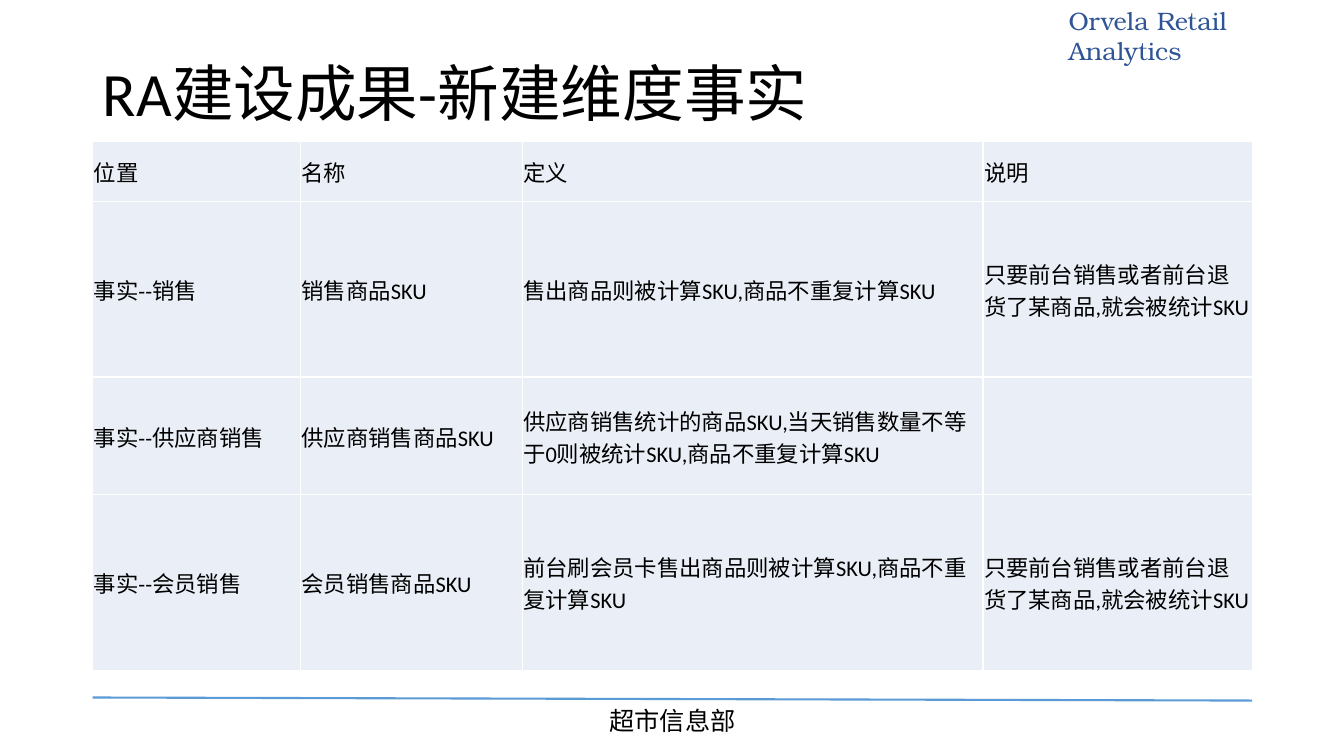
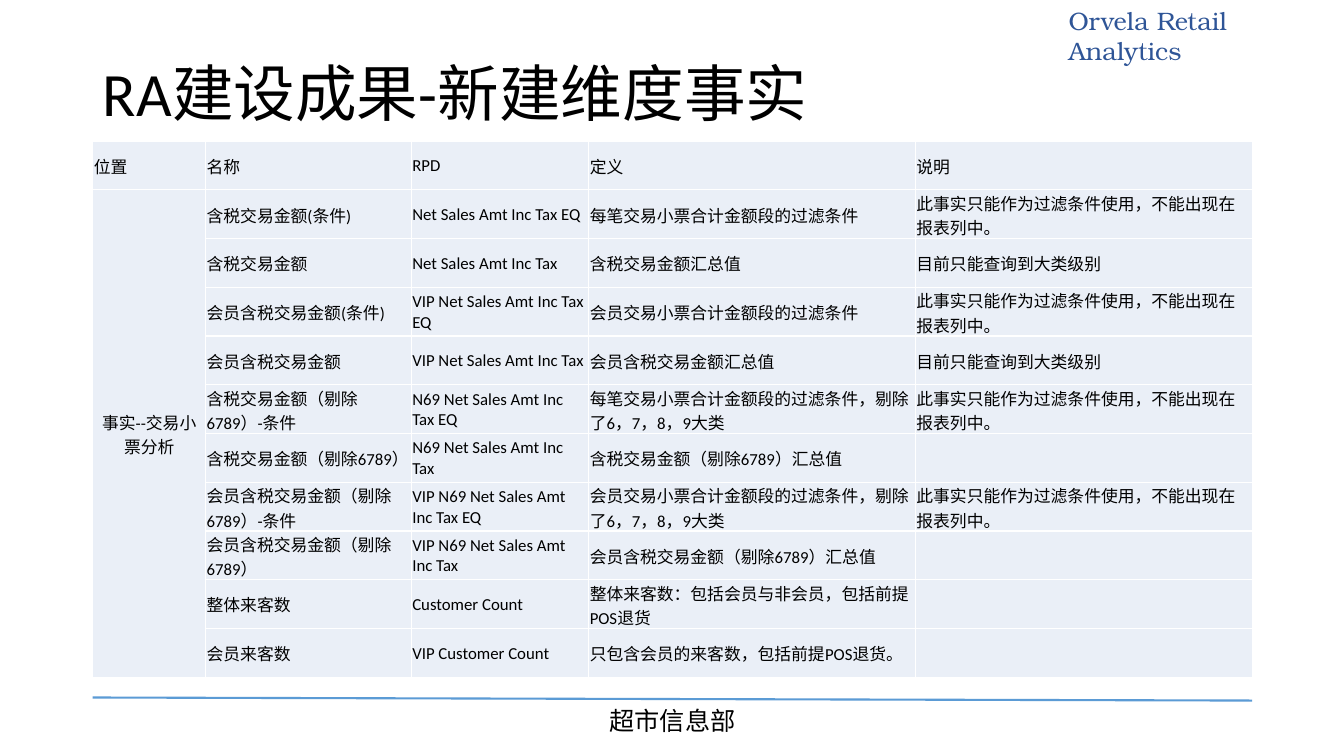
from lxml import etree
from pptx import Presentation
from pptx.dml.color import RGBColor
from pptx.enum.shapes import MSO_CONNECTOR
from pptx.enum.text import MSO_ANCHOR, MSO_AUTO_SIZE, PP_ALIGN
from pptx.oxml import parse_xml
from pptx.oxml.ns import nsdecls, qn
from pptx.util import Inches, Pt

MIDDLE = MSO_ANCHOR.MIDDLE
LEFT, CENTER = PP_ALIGN.LEFT, PP_ALIGN.CENTER
STRAIGHT = MSO_CONNECTOR.STRAIGHT

BLACK = RGBColor(0x00, 0x00, 0x00)
NAVY = RGBColor(0x2F, 0x55, 0x97)
BLUE = RGBColor(0x5B, 0x9B, 0xD5)
PALE = RGBColor(0xEA, 0xEF, 0xF7)
BORDER = "FFFFFF"

BODY_FONT = "Calibri"
BRAND_FONT = "TeX Gyre Bonum"
CJK_FONT = "Noto Sans CJK SC"

MARGIN, CONTENT_WIDTH, TABLE_TOP = 0.92, 11.5, 1.4
TITLE = "RA建设成果-新建维度事实"
SKU_NOTE = "只要前台销售或者前台退货了某商品,就会被统计SKU"
FILTER_NOTE = "此事实只能作为过滤条件使用，不能出现在报表列中。"
LEVEL_NOTE = "目前只能查询到大类级别"

TABLES = [
    {
        "size": 16,
        "cols": [2.06, 2.2, 4.57, 2.67],
        "heights": [0.6, 1.74, 1.17, 1.74],
        "merge_first_column": False,
        "rows": [
            ["位置", "名称", "定义", "说明"],
            ["事实--销售", "销售商品SKU", "售出商品则被计算SKU,商品不重复计算SKU", SKU_NOTE],
            ["事实--供应商销售", "供应商销售商品SKU",
             "供应商销售统计的商品SKU,当天销售数量不等于0则被统计SKU,商品不重复计算SKU", ""],
            ["事实--会员销售", "会员销售商品SKU",
             "前台刷会员卡售出商品则被计算SKU,商品不重复计算SKU", SKU_NOTE],
        ],
    },
    {
        "size": 12,
        "cols": [1.12, 2.04, 1.76, 3.24, 3.34],
        "heights": [5.32 / 11] * 11,
        "merge_first_column": True,
        "rows": [
            ["位置", "名称", "RPD", "定义", "说明"],
            ["事实--交易小票分析", "含税交易金额(条件)", "Net Sales Amt Inc Tax EQ",
             "每笔交易小票合计金额段的过滤条件", FILTER_NOTE],
            ["", "含税交易金额", "Net Sales Amt Inc Tax", "含税交易金额汇总值", LEVEL_NOTE],
            ["", "会员含税交易金额(条件)", "VIP Net Sales Amt Inc Tax EQ",
             "会员交易小票合计金额段的过滤条件", FILTER_NOTE],
            ["", "会员含税交易金额", "VIP Net Sales Amt Inc Tax", "会员含税交易金额汇总值", LEVEL_NOTE],
            ["", "含税交易金额（剔除6789）-条件", "N69 Net Sales Amt Inc Tax EQ",
             "每笔交易小票合计金额段的过滤条件，剔除了6，7，8，9大类", FILTER_NOTE],
            ["", "含税交易金额（剔除6789）", "N69 Net Sales Amt Inc Tax",
             "含税交易金额（剔除6789）汇总值", ""],
            ["", "会员含税交易金额（剔除6789）-条件", "VIP N69 Net Sales Amt Inc Tax EQ",
             "会员交易小票合计金额段的过滤条件，剔除了6，7，8，9大类", FILTER_NOTE],
            ["", "会员含税交易金额（剔除6789）", "VIP N69 Net Sales Amt Inc Tax",
             "会员含税交易金额（剔除6789）汇总值", ""],
            ["", "整体来客数", "Customer Count",
             "整体来客数：包括会员与非会员，包括前提POS退货", ""],
            ["", "会员来客数", "VIP Customer Count", "只包含会员的来客数，包括前提POS退货。", ""],
        ],
    },
]


def write(tf, text, size, font=BODY_FONT, color=BLACK, align=LEFT):
    """Fill a text frame with one formatted paragraph and return it."""
    tf.text = text
    tf.word_wrap = True
    p = tf.paragraphs[0]
    p.alignment = align
    for r in p.runs:
        r.font.size = Pt(size)
        r.font.name = font
        r.font.color.rgb = color
        etree.SubElement(r.font._element, qn("a:ea"), typeface=CJK_FONT)
    return p


def format_cell(cell):
    cell.vertical_anchor = MIDDLE
    cell.margin_left = cell.margin_right = cell.margin_top = Inches(0.01)
    cell.margin_bottom = 0
    cell.fill.solid()
    cell.fill.fore_color.rgb = PALE
    tcPr = cell._tc.get_or_add_tcPr()
    for i, side in enumerate(("lnL", "lnR", "lnT", "lnB")):
        tcPr.insert(i, parse_xml(
            f'<a:{side} {nsdecls("a")} w="{Pt(1)}"><a:solidFill>'
            f'<a:srgbClr val="{BORDER}"/></a:solidFill></a:{side}>'))


prs = Presentation()
prs.slide_width, prs.slide_height = Inches(13.33), Inches(7.5)

for spec_table in TABLES:
    s = prs.slides.add_slide(prs.slide_layouts[5])

    # Shared header, footer and title
    brand = s.shapes.add_textbox(Inches(10.5), 0, Inches(2.83), Inches(0.4))
    write(brand.text_frame, "Orvela Retail Analytics", 18, BRAND_FONT, NAVY)

    rule = s.shapes.add_connector(STRAIGHT, Inches(MARGIN), Inches(6.92),
                                  Inches(MARGIN + CONTENT_WIDTH), Inches(6.95))
    rule.line.color.rgb = BLUE
    rule.line.width = Pt(1.5)
    etree.SubElement(rule._element.spPr, qn("a:effectLst"))

    footer = s.shapes.add_textbox(Inches(5.6), Inches(6.95), Inches(2.14), Inches(0.4))
    write(footer.text_frame, "超市信息部", 18, CJK_FONT, align=CENTER)

    title = s.shapes.title
    title.left, title.top = Inches(MARGIN), Inches(0.51)
    title.width, title.height = Inches(CONTENT_WIDTH), Inches(0.89)
    p = write(title.text_frame, TITLE, 44)
    p.line_spacing = 0.9
    title.text_frame.vertical_anchor = MIDDLE
    title.text_frame.auto_size = MSO_AUTO_SIZE.NONE

    # Table
    rows, heights = spec_table["rows"], spec_table["heights"]
    table = s.shapes.add_table(
        len(rows), len(rows[0]), Inches(MARGIN), Inches(TABLE_TOP),
        Inches(CONTENT_WIDTH), Inches(sum(heights))).table
    table.first_row = table.horz_banding = False
    for column, width in zip(table.columns, spec_table["cols"]):
        column.width = Inches(width)
    for row, height, texts in zip(table.rows, heights, rows):
        row.height = Inches(height)
        for cell, text in zip(row.cells, texts):
            write(cell.text_frame, text, spec_table["size"])
            format_cell(cell)
    if spec_table["merge_first_column"]:
        group = table.cell(1, 0)
        group.merge(table.cell(len(rows) - 1, 0))
        group.text_frame.paragraphs[0].alignment = CENTER

prs.save("out.pptx")
